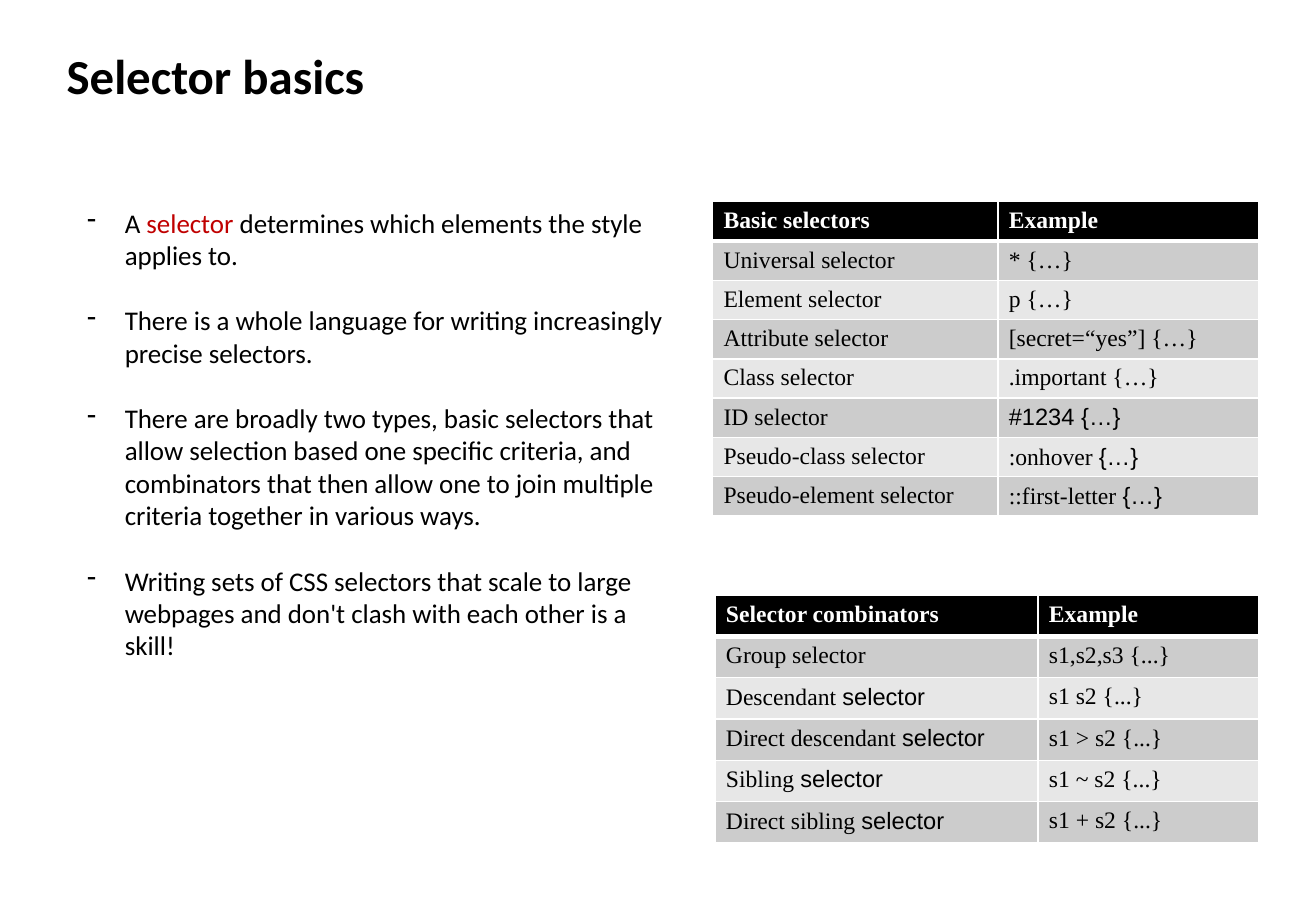
import pptx
import pptx.dml.color
import pptx.oxml
import pptx.oxml.ns
import pptx.util

WIDTH, HEIGHT = 10.84, 7.5
BLACK, WHITE, RED = "000000", "FFFFFF", "C00000"
BANDS = ["CCCCCC", "E7E7E7"]
NAMESPACE = pptx.oxml.ns.nsdecls("a")
inches = pptx.util.Inches


def color(value):
    return pptx.dml.color.RGBColor.from_string(value)


def add_run(paragraph, text, size, font_name, font_color, bold=False):
    run = paragraph.add_run()
    run.text = text
    run.font.color.rgb = color(font_color)
    formats = {"size": pptx.util.Pt(size), "name": font_name, "bold": bold}
    for name, value in formats.items():
        setattr(run.font, name, value)


presentation = pptx.Presentation()
presentation.slide_width = inches(WIDTH)
presentation.slide_height = inches(HEIGHT)
slide = presentation.slides.add_slide(presentation.slide_layouts[6])

# Title
title = slide.shapes.add_textbox(inches(0.45), inches(0.33), inches(7.72), inches(0.71))
title.text_frame.word_wrap = True
add_run(title.text_frame.paragraphs[0], "Selector basics", 29, "Calibri", BLACK, True)

# Dashed points, each a list of text and colour
points = [
    [("A ", BLACK), ("selector", RED),
     (" determines which elements the style applies to.", BLACK)],
    [("There is a whole language for writing increasingly precise selectors.", BLACK)],
    [("There are broadly two types, basic selectors that allow selection based one "
      "specific criteria, and combinators that then allow one to join multiple "
      "criteria together in various ways.", BLACK)],
    [("Writing sets of CSS selectors that scale to large webpages and don't clash "
      "with each other is a skill!", BLACK)],
]
body = slide.shapes.add_textbox(inches(0.62), inches(1.65), inches(4.97), inches(4.8))
body.text_frame.word_wrap = True
for index, point in enumerate(points):
    if index == 0:
        paragraph = body.text_frame.paragraphs[0]
    else:
        paragraph = body.text_frame.add_paragraph()
        paragraph.space_before = pptx.util.Pt(19.5)
    properties = paragraph._p.get_or_add_pPr()
    properties.set("marL", str(inches(0.31)))
    properties.set("indent", str(-inches(0.31)))
    properties.append(pptx.oxml.parse_xml(f'<a:buChar {NAMESPACE} char="-"/>'))
    for text, text_color in point:
        add_run(paragraph, text, 16, "Calibri", text_color)

# Tables: left, top, row height, column widths, rows; text after "|" is in Arial
tables = [
    (5.87, 1.66, 2.53 / 8, [2.35, 2.15], [
        ("Basic selectors", "Example"),
        ("Universal selector", "* {…}"),
        ("Element selector", "p {…}"),
        ("Attribute selector", "[secret=“yes”] {…}"),
        ("Class selector", ".important {…}"),
        ("ID selector", "|#1234 {…}"),
        ("Pseudo-class selector", ":onhover |{…}"),
        ("Pseudo-element selector", "::first-letter |{…}"),
    ]),
    (5.89, 4.9, 0.34, [2.66, 1.82], [
        ("Selector combinators", "Example"),
        ("Group selector", "s1,s2,s3 {...}"),
        ("Descendant |selector", "s1 s2 {...}"),
        ("Direct descendant |selector", "s1 > s2 {...}"),
        ("Sibling |selector", "s1 ~ s2 {...}"),
        ("Direct sibling |selector", "s1 + s2 {...}"),
    ]),
]
margins = {"margin_left": 0.09, "margin_right": 0.09, "margin_top": 0.05, "margin_bottom": 0.04}
for left, top, row_height, column_widths, rows in tables:
    table = slide.shapes.add_table(
        len(rows), len(column_widths), inches(left), inches(top),
        inches(sum(column_widths)), inches(row_height * len(rows))).table
    table.horz_banding = False
    for column, column_width in zip(table.columns, column_widths):
        column.width = inches(column_width)
    for row_index, row in enumerate(rows):
        table.rows[row_index].height = inches(row_height)
        header = row_index == 0
        for column_index, text in enumerate(row):
            cell = table.cell(row_index, column_index)
            for name, value in margins.items():
                setattr(cell, name, inches(value))
            cell.fill.solid()
            cell.fill.fore_color.rgb = color(BLACK if header else BANDS[(row_index - 1) % 2])

            # White borders, thicker under the header
            borders = {"lnL": 1, "lnR": 1, "lnT": 3 if row_index == 1 else 1,
                       "lnB": 3 if header else 1}
            cell_properties = cell._tc.get_or_add_tcPr()
            for position, (tag, points_wide) in enumerate(borders.items()):
                cell_properties.insert(position, pptx.oxml.parse_xml(
                    f'<a:{tag} {NAMESPACE} w="{pptx.util.Pt(points_wide)}"><a:solidFill>'
                    f'<a:srgbClr val="{WHITE}"/></a:solidFill></a:{tag}>'))

            paragraph = cell.text_frame.paragraphs[0]
            for part, font_name in zip(text.split("|"), ["Times New Roman", "Arial"]):
                if part:
                    add_run(paragraph, part, 14, font_name, WHITE if header else BLACK, header)

presentation.save("out.pptx")
